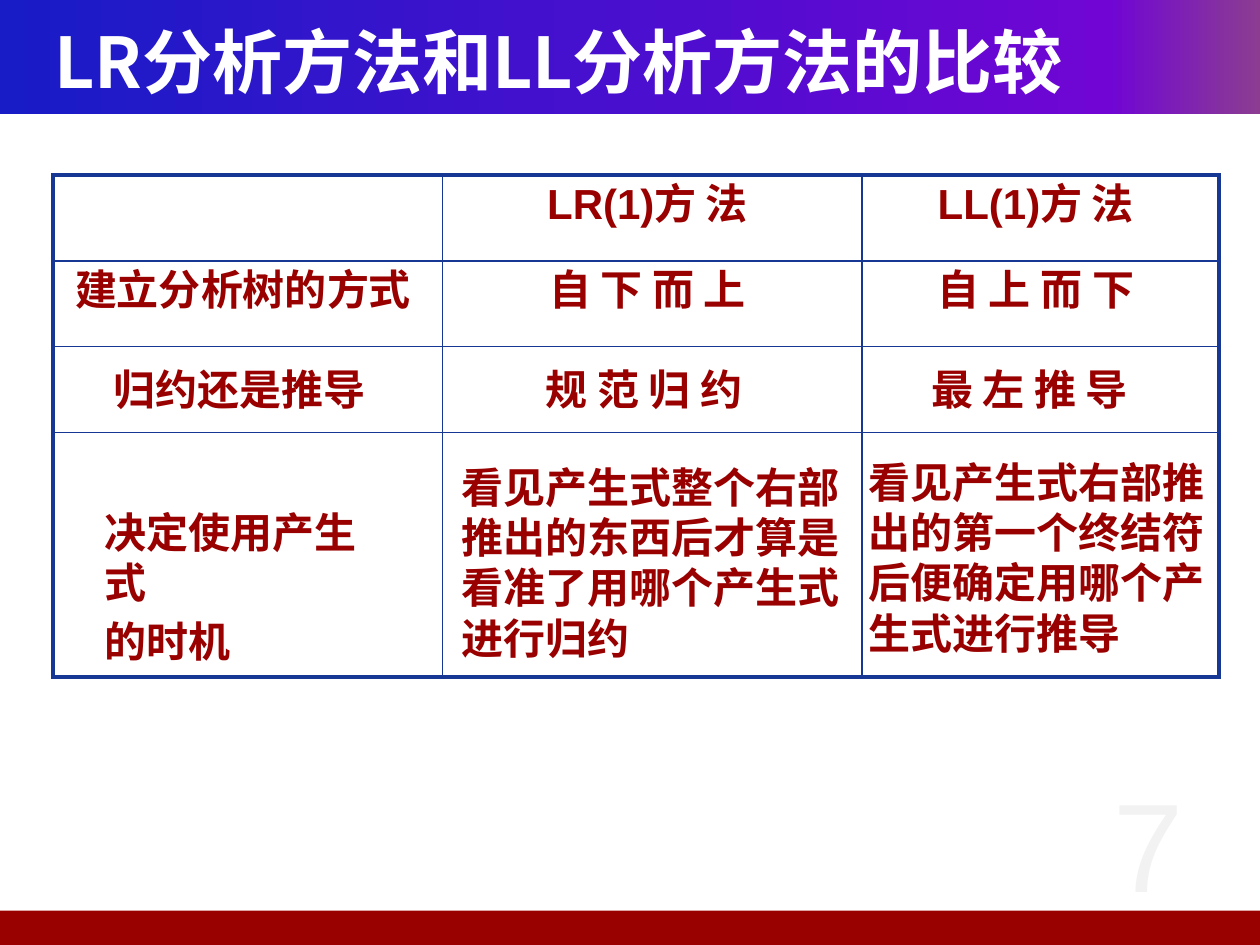
from copy import deepcopy
from lxml import etree
from pptx import Presentation
from pptx.dml.color import RGBColor
from pptx.enum.shapes import MSO_SHAPE
from pptx.enum.text import MSO_ANCHOR, PP_ALIGN
from pptx.oxml.ns import qn
from pptx.util import Cm, Pt

RECTANGLE = MSO_SHAPE.RECTANGLE
LEFT, CENTER = PP_ALIGN.LEFT, PP_ALIGN.CENTER
MIDDLE = MSO_ANCHOR.MIDDLE

WHITE = RGBColor(0xFF, 0xFF, 0xFF)
RED = RGBColor(0x99, 0x00, 0x00)
PALE = RGBColor(0xF2, 0xF2, 0xF2)
NAVY = RGBColor(0x16, 0x37, 0x94)
BAND_STOPS = [
    (0, RGBColor(0x18, 0x1C, 0xC7)),
    (0.88, RGBColor(0x70, 0x05, 0xD4)),
    (1, RGBColor(0x8C, 0x3D, 0x91)),
]
LATIN, HAN = "Arial", "Noto Sans CJK SC"

COLUMNS = [7.85, 8.46, 7.19]
ROWS = [1.73, 1.73, 1.73, 4.93]
CELLS = [
    ["", "LR(1)方 法 ", "LL(1)方 法 "],
    ["建立分析树的方式 ", "自 下 而 上 ", "自 上 而 下 "],
]
NOTES = [
    ((1.22, 3.68, 5.08, 1.27), False, ["归约还是推导"]),
    ((9.93, 3.68, 4.7, 1.27), True, ["规 范 归 约"]),
    ((17.7, 3.68, 4.32, 1.27), False, ["最 左 推 导 "]),
    ((1.04, 6.55, 5.92, 2.49), False, ["决定使用产生式", "的时机 "]),
    ((8.23, 5.64, 7.8, 4.32), True,
     ["看见产生式整个右部推出的东西后才算是看准了用哪个产生式进行归约 "]),
    ((16.43, 5.54, 7.39, 4.32), True,
     ["看见产生式右部推出的第一个终结符后便确定用哪个产生式进行推导"]),
]


def write(para, text, size, color, bold=True, align=LEFT, latin=LATIN):
    para.text = text
    para.alignment = align
    font = para.font
    font.size, font.bold, font.name = Pt(size), bold, latin
    font.color.rgb = color
    for span in para.runs:
        properties = span._r.get_or_add_rPr()
        etree.SubElement(properties, qn("a:ea"), typeface=HAN)


def write_body(para, text, align=LEFT):
    write(para, text, 24, RED, align=align)
    para.line_spacing = Pt(28.8)
    para.space_before = Pt(4.8)


def add_bar(page, left, top, width, height):
    bar = page.shapes.add_shape(RECTANGLE, Cm(left), Cm(top), Cm(width), Cm(height))
    bar.shadow.inherit = False
    bar.line.fill.background()
    page.shapes._spTree.insert(2, bar._element)
    return bar


def add_header(page, left, top, width, height):
    fill = add_bar(page, left, top, width, height).fill
    fill.gradient()
    fill.gradient_angle = 0
    stop_list = fill.gradient_stops[0]._gs.getparent()
    stop_list.append(deepcopy(stop_list[-1]))
    for stop, (position, color) in zip(fill.gradient_stops, BAND_STOPS):
        stop.position = position
        stop.color.rgb = color
    title = page.shapes.title
    title.left, title.top = Cm(left + 0.84), Cm(top + 0.43)
    title.width, title.height = Cm(23.5), Cm(1.57)
    title.text_frame.vertical_anchor = MIDDLE
    write(title.text_frame.paragraphs[0], "LR分析方法和LL分析方法的比较", 40, WHITE, latin=HAN)


def add_footer(page, left, top, width, height):
    bar = add_bar(page, left, top, width, height)
    bar.fill.solid()
    bar.fill.fore_color.rgb = RED
    number = page.shapes.add_textbox(Cm(left + 21), Cm(top - 3.04), Cm(4.5), Cm(3.61))
    number.text_frame.word_wrap = True
    write(number.text_frame.paragraphs[0], "7", 72, PALE, bold=False, align=CENTER)


def set_borders(cell, row, column):
    outer = {
        "a:lnL": column == 0,
        "a:lnR": column == len(COLUMNS) - 1,
        "a:lnT": row == 0,
        "a:lnB": row == len(ROWS) - 1,
    }
    properties = cell._tc.get_or_add_tcPr()
    for index, (side, is_outer) in enumerate(outer.items()):
        line = etree.Element(qn(side), w=str(Pt(2.25 if is_outer else 1)))
        solid = etree.SubElement(line, qn("a:solidFill"))
        etree.SubElement(solid, qn("a:srgbClr"), val=str(NAVY))
        properties.insert(index, line)


def add_note(page, left, top, width, height, wrap, lines):
    box = page.shapes.add_textbox(Cm(left), Cm(top), Cm(width), Cm(height))
    frame = box.text_frame
    frame.word_wrap = wrap
    frame.margin_left = frame.margin_right = 0
    for index, text in enumerate(lines):
        para = frame.add_paragraph() if index else frame.paragraphs[0]
        write_body(para, text)


def add_comparison(page, left, top):
    table = page.shapes.add_table(
        len(ROWS), len(COLUMNS), Cm(left), Cm(top), Cm(sum(COLUMNS)), Cm(sum(ROWS))
    ).table
    table.first_row = table.horz_banding = False
    for column, width in zip(table.columns, COLUMNS):
        column.width = Cm(width)
    for row, height in zip(table.rows, ROWS):
        row.height = Cm(height)
    for row in range(len(ROWS)):
        for column in range(len(COLUMNS)):
            cell = table.cell(row, column)
            cell.fill.background()
            set_borders(cell, row, column)
            if row < len(CELLS) and CELLS[row][column]:
                write_body(cell.text_frame.paragraphs[0], CELLS[row][column], CENTER)
    for (x, y, width, height), wrap, lines in NOTES:
        add_note(page, left + x, top + y, width, height, wrap, lines)


deck = Presentation()
deck.slide_width, deck.slide_height = Cm(25.4), Cm(19.05)
page = deck.slides.add_slide(deck.slide_layouts[5])
add_header(page, 0, 0, 25.4, 2.31)
add_footer(page, -0.1, 18.36, 25.5, 0.69)
add_comparison(page, 1.07, 3.53)
deck.save("out.pptx")
